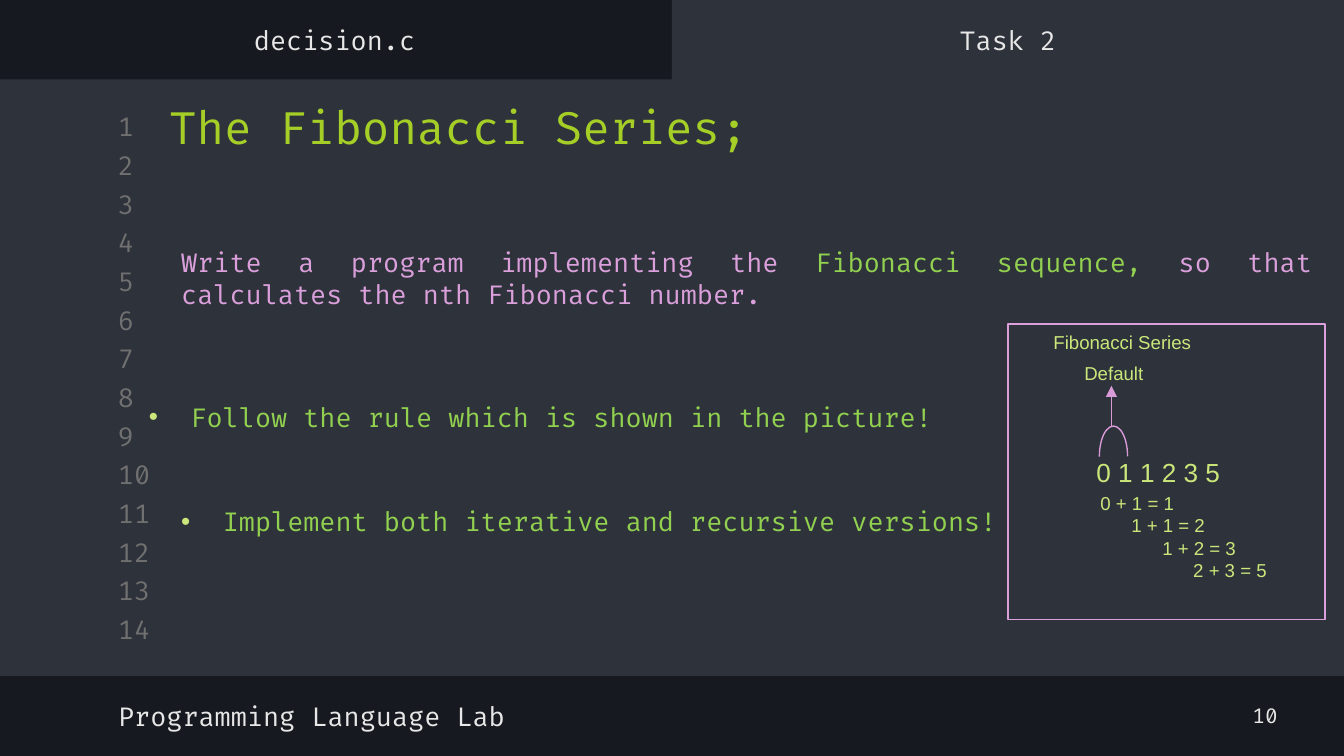
from dataclasses import dataclass
from typing import Optional

from lxml import etree
from pptx import Presentation
from pptx.dml import color as c
from pptx.enum import shapes, text
from pptx.oxml import ns
from pptx.util import Inches, Pt

CODE_FONT, DIAGRAM_FONT = "Fira Code", "Arial"
DARK, PANEL = "16191F", "2E323B"
WHITE, GREY = "E7E7E7", "707070"
LIME, GREEN, PALE_GREEN = "A5CF27", "92D050", "CBE67A"
PINK, ARROW_PINK = "DBA0DB", "D89BD8"
LEFT, CENTER, JUSTIFY = text.PP_ALIGN.LEFT, text.PP_ALIGN.CENTER, text.PP_ALIGN.JUSTIFY
TOP, MIDDLE = text.MSO_ANCHOR.TOP, text.MSO_ANCHOR.MIDDLE


@dataclass
class Run:
    words: str
    color: str


@dataclass
class Label:
    left: float
    top: float
    width: float
    height: float
    paragraphs: list[list[Run]]
    size: float = 14
    font: str = CODE_FONT
    align: text.PP_ALIGN = LEFT
    anchor: text.MSO_ANCHOR = MIDDLE
    inset: float = 0.1
    bullet: Optional[str] = None
    step: float = 0  # extra left indent of each following paragraph


def rgb(value: str) -> c.RGBColor:
    return c.RGBColor.from_string(value)


def add_bullet(paragraph, color: str) -> None:
    properties = paragraph._p.get_or_add_pPr()
    properties.set("marL", str(Inches(0.31)))
    properties.set("indent", str(-Inches(0.31)))
    bullet_color = etree.SubElement(properties, ns.qn("a:buClr"))
    etree.SubElement(bullet_color, ns.qn("a:srgbClr"), val=color)
    etree.SubElement(properties, ns.qn("a:buFont"), typeface="Arial")
    etree.SubElement(properties, ns.qn("a:buChar"), char="•")


def add_label(slide, label: Label) -> None:
    shape = slide.shapes.add_textbox(
        Inches(label.left), Inches(label.top), Inches(label.width), Inches(label.height))
    frame = shape.text_frame
    frame.word_wrap = True
    frame.vertical_anchor = label.anchor
    frame.margin_left = frame.margin_right = Inches(0.1)
    frame.margin_top = frame.margin_bottom = Inches(label.inset)
    for index, runs in enumerate(label.paragraphs):
        paragraph = frame.add_paragraph() if index else frame.paragraphs[0]
        paragraph.alignment = label.align
        if label.bullet:
            add_bullet(paragraph, label.bullet)
        elif label.step:
            paragraph._p.get_or_add_pPr().set("marL", str(Inches(label.step * index)))
        for part in runs:
            run = paragraph.add_run()
            run.text = part.words
            run.font.name = label.font
            run.font.size = Pt(label.size)
            run.font.color.rgb = rgb(part.color)


def add_diagram_text(slide, left: float, top: float, width: float, height: float,
                     lines: list[str], size: float = 10, step: float = 0) -> None:
    paragraphs = [[Run(line, PALE_GREEN)] for line in lines]
    add_label(slide, Label(left, top, width, height, paragraphs, size, DIAGRAM_FONT,
                           anchor=TOP, inset=0.05, step=step))


def add_preset(slide, kind: shapes.MSO_SHAPE, left: float, top: float, width: float,
               height: float, fill: Optional[str] = None, line: Optional[str] = None):
    shape = slide.shapes.add_shape(
        kind, Inches(left), Inches(top), Inches(width), Inches(height))
    shape.shadow.inherit = False
    if fill:
        shape.fill.solid()
        shape.fill.fore_color.rgb = rgb(fill)
    else:
        shape.fill.background()
    if line:
        shape.line.color.rgb = rgb(line)
        shape.line.width = Pt(0.75)
    else:
        shape.line.fill.background()
    return shape


def add_arrow(slide, x: float, start: float, end: float, color: str) -> None:
    connector = slide.shapes.add_connector(
        shapes.MSO_CONNECTOR.STRAIGHT, Inches(x), Inches(start), Inches(x), Inches(end))
    connector.line.color.rgb = rgb(color)
    connector.line.width = Pt(0.75)
    etree.SubElement(connector.line._get_or_add_ln(), ns.qn("a:tailEnd"), type="triangle")
    etree.SubElement(connector._element.spPr, ns.qn("a:effectLst"))


def main() -> None:
    presentation = Presentation()
    presentation.slide_width = Inches(10)
    presentation.slide_height = Inches(10 * 9 / 16)
    slide = presentation.slides.add_slide(presentation.slide_layouts[6])
    slide.background.fill.solid()
    slide.background.fill.fore_color.rgb = rgb(DARK)

    # Editor panel and its active tab
    rectangle = shapes.MSO_SHAPE.RECTANGLE
    add_preset(slide, rectangle, 0, 0.59, 10, 4.44, fill=PANEL)
    add_preset(slide, rectangle, 5, 0, 5, 0.65, fill=PANEL)

    # Line numbers, evenly spaced from the first to the last
    first_top, last_top, count = 0.82, 4.56, 14
    pitch = (last_top - first_top) / (count - 1)
    for index in range(count):
        add_label(slide, Label(0.78, first_top + pitch * index, 0.47, 0.24,
                               [[Run(str(index + 1), GREY)]]))

    # Footer, tabs, task, title and bullets
    task = [Run("Write a program implementing the ", PINK),
            Run("Fibonacci sequence,", GREEN),
            Run(" so that calculates the nth Fibonacci number.", PINK)]
    labels = [
        Label(0.78, 5.13, 5.32, 0.39, [[Run("Programming Language Lab", WHITE)]]),
        Label(-0.01, 0.1, 5, 0.39, [[Run("decision.c", WHITE)]], align=CENTER),
        Label(5, 0.1, 5, 0.39, [[Run("Task 2", WHITE)]], align=CENTER),
        Label(1.25, 1.51, 8.61, 1.12, [task], align=JUSTIFY),
        Label(1.16, 0.64, 7.97, 0.59, [[Run("The Fibonacci Series;", LIME)]],
              size=24, anchor=TOP),
        Label(1.01, 2.54, 7.74, 1.12,
              [[Run("Follow the rule which is shown in the picture!", GREEN)]],
              bullet=PALE_GREEN),
        Label(1.25, 3.32, 6.36, 1.12,
              [[Run("Implement both iterative and recursive versions!", GREEN)]],
              bullet=PALE_GREEN),
    ]
    for label in labels:
        add_label(slide, label)

    # Fibonacci diagram
    add_diagram_text(slide, 8.06, 3.35, 1.56, 0.34, ["0 1 1 2 3 5"], size=14)
    arc = add_preset(slide, shapes.MSO_SHAPE.ARC, 8.18, 3.17, 0.21, 0.45, line=ARROW_PINK)
    arc.adjustments[0], arc.adjustments[1] = 106.97, 0
    add_arrow(slide, 8.27, 3.17, 2.87, ARROW_PINK)
    add_diagram_text(slide, 7.97, 2.64, 1.56, 0.27, ["Default"])
    sums = [f"{a} + {b} = {a + b}" for a, b in [(0, 1), (1, 1), (1, 2), (2, 3)]]
    add_diagram_text(slide, 8.09, 3.61, 1.77, 0.77, sums, step=0.23)
    add_diagram_text(slide, 7.74, 2.41, 1.56, 0.27, ["Fibonacci Series"])
    add_preset(slide, rectangle, 7.5, 2.41, 2.36, 2.2, line=PINK)

    # Slide number
    add_label(slide, Label(9.22, 5.13, 0.41, 0.39, [[Run("10", WHITE)]], size=11))

    presentation.save("out.pptx")


if __name__ == "__main__":
    main()
